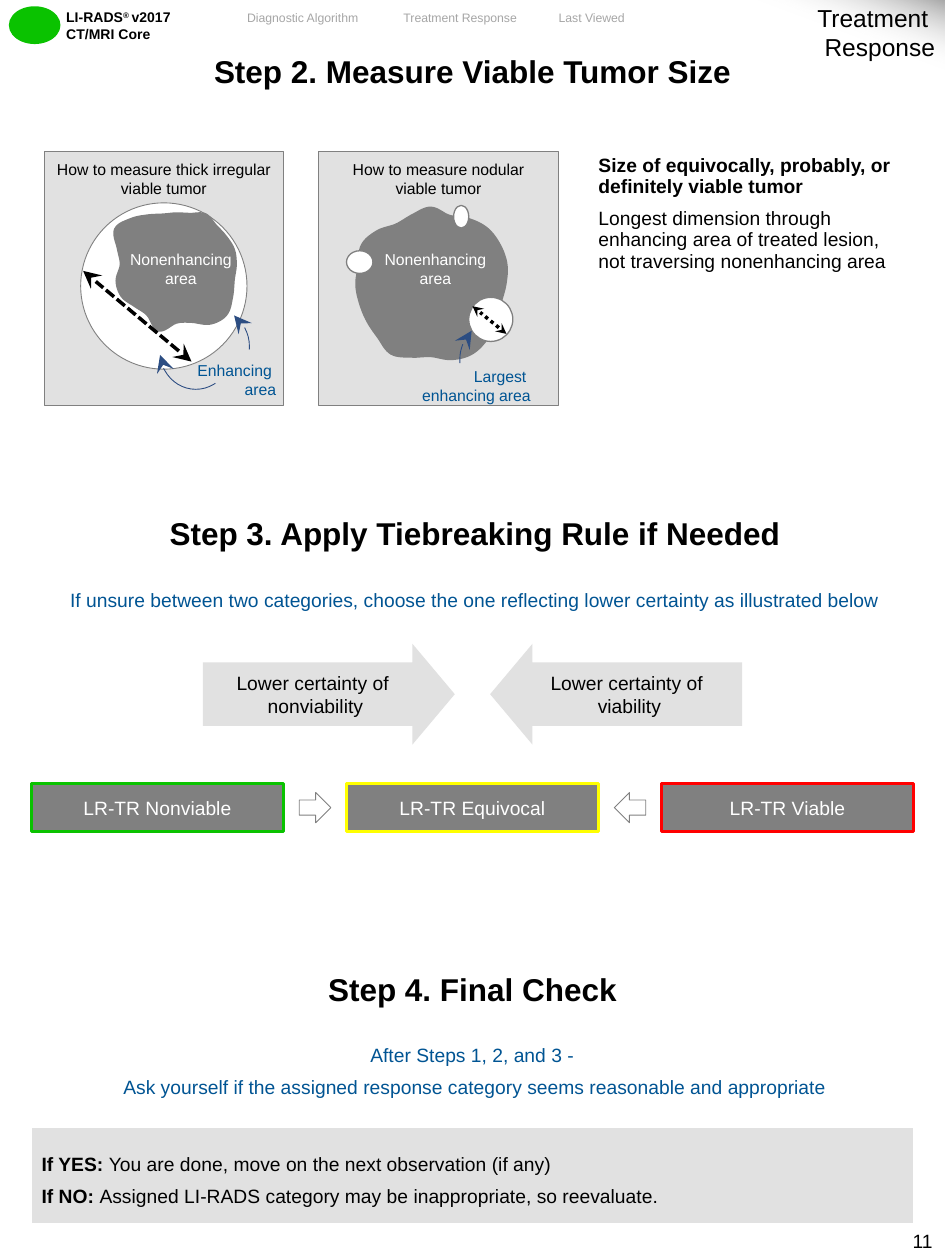
import math
from lxml import etree
from pptx import Presentation
from pptx import util as u
from pptx.dml.color import RGBColor
from pptx.enum import dml, shapes, text
from pptx.oxml.ns import qn

BLACK = RGBColor(0x00, 0x00, 0x00)
WHITE = RGBColor(0xFF, 0xFF, 0xFF)
PALE = RGBColor(0xE1, 0xE1, 0xE1)
SILVER = RGBColor(0xA6, 0xA6, 0xA6)
GREY = RGBColor(0x80, 0x80, 0x80)
BLUE = RGBColor(0x00, 0x54, 0x93)
NAVY = RGBColor(0x2C, 0x4D, 0x82)
GREEN = RGBColor(0x0A, 0xC2, 0x00)
YELLOW = RGBColor(0xFF, 0xFF, 0x00)
RED = RGBColor(0xFF, 0x00, 0x00)

KIND = shapes.MSO_SHAPE
DASH = dml.MSO_LINE
LEFT, CENTER, RIGHT = text.PP_ALIGN.LEFT, text.PP_ALIGN.CENTER, text.PP_ALIGN.RIGHT
TOP, MIDDLE = text.MSO_ANCHOR.TOP, text.MSO_ANCHOR.MIDDLE

deck = Presentation()
deck.slide_width, deck.slide_height = u.Inches(7.5), u.Inches(10)
page = deck.slides.add_slide(deck.slide_layouts[6])
# Every length below counts cells of a grid of 75 columns and 100 rows.
CELL = deck.slide_width // 75


def write(frame, lines, size, color=BLACK, **layout):
    """Fill a frame; each line is a string or a list of (words, bold) pairs."""
    frame.word_wrap = True
    for index, line in enumerate(lines):
        para = frame.paragraphs[0] if index == 0 else frame.add_paragraph()
        for name, value in layout.items():
            setattr(para, name, value)
        for words, bold in [(line, False)] if isinstance(line, str) else line:
            span = para.add_run()
            span.text = words
            for name, value in {"name": "Arial", "size": u.Pt(size), "bold": bold}.items():
                setattr(span.font, name, value)
            span.font.color.rgb = color


def place(kind, box, fill=None, line=None, width=0.5, adjust=()):
    """Add a preset shape whose box is left, top, width, height in cells."""
    shape = page.shapes.add_shape(kind, *[int(side * CELL) for side in box])
    shape.shadow.inherit = False
    for part, color in ((shape.fill, fill), (shape.line.fill, line)):
        if color is None:
            part.background()
        else:
            part.solid()
            part.fore_color.rgb = color
    if line is not None:
        shape.line.width = u.Pt(width)
    for index, value in enumerate(adjust):
        shape.adjustments[index] = value
    return shape


# Steps table: row height, anchor, insets (left, top, right, bottom), lines, format
heading = {"size": 18, "alignment": CENTER}
advice = {"size": 11, "color": BLUE, "alignment": CENTER, "line_spacing": 1.5}
steps = [
    (5, MIDDLE, (1, 0, 1, 1.5), [[("Step 2. Measure Viable Tumor Size", True)]], heading),
    (24.9, MIDDLE, (0.8, 3, 0.4, 12),
     [[("Size of equivocally, probably, or definitely viable tumor", True)],
      "Longest dimension through enhancing area of treated lesion, not traversing nonenhancing area"],
     {"size": 11}),
    (12.1, MIDDLE, (0.8, 7, 0.4, 2), [[("Step 3. Apply Tiebreaking Rule if Needed", True)]], heading),
    (6.7, TOP, (0.8, 0, 0.4, 4),
     ["If unsure between two categories, choose the one reflecting lower certainty as illustrated below"],
     advice),
    (14.4, TOP, (1, 0.5, 1, 0.5), [], advice),
    (15, MIDDLE, (0, 10, 0, 2), [[("Step 4. Final Check", True)]], heading),
    (7.4, TOP, (0.8, 0, 0.4, 2),
     ["After Steps 1, 2, and 3 - ",
      "Ask yourself if the assigned response category seems reasonable and appropriate"], advice),
    (7.6, MIDDLE, (0.8, 1, 0.4, 1),
     [[("If YES: ", True), ("You are done, move on the next observation (if any)", False)],
      [("If NO: ", True), ("Assigned LI-RADS category may be inappropriate, so reevaluate.", False)]],
     {"size": 11, "line_spacing": 1.5}),
]
MEASURE_ROW, CHECK_ROW = 1, len(steps) - 1
total = sum(step[0] for step in steps)
table = page.shapes.add_table(len(steps), 2, int(2.5 * CELL), 4 * CELL, 70 * CELL, int(total * CELL)).table
table.first_row = table.horz_banding = False
for column, width in zip(table.columns, (44.2, 25.8)):
    column.width = int(width * CELL)
for index, (height, anchor, insets, lines, style) in enumerate(steps):
    table.rows[index].height = int(height * CELL)
    for cell in table.rows[index].cells:
        cell.fill.solid()
        cell.fill.fore_color.rgb = PALE if index == CHECK_ROW else WHITE
    cell = table.cell(index, 1 if index == MEASURE_ROW else 0)
    if index != MEASURE_ROW:
        cell.merge(table.cell(index, 1))
    cell.vertical_anchor = anchor
    for side, inset in zip(("left", "top", "right", "bottom"), insets):
        setattr(cell, "margin_" + side, int(inset * CELL))
    write(cell.text_frame, lines, **style)
table.cell(MEASURE_ROW, 1).text_frame.paragraphs[0].space_after = u.Pt(6)

# Diagram panels; the thick irregular tumor lies in a white enhancing disc
PANEL_LEFTS = (3.5, 25.3)
for left in PANEL_LEFTS:
    place(KIND.RECTANGLE, (left, 12, 19, 20.2), PALE, GREY)
place(KIND.OVAL, (6.4, 16.1, 13.2, 13.2), WHITE, GREY)

# A nonenhancing area is a centre and its radii at equal angles, clockwise from the right
irregular_radii = (4.8, 4.8, 5.2, 5.7, 5.5, 4.8, 4.7, 5.5, 4.7, 4.75, 5.1, 5,
                   4.5, 4.9, 5.7, 5.2, 4.6, 4.2, 4.15, 4.25, 4.7, 4.5, 4.6, 4.8)
nodular_radii = (6, 5.8, 6, 6.3, 6.45, 6.2, 5.75, 6, 6.4, 6, 5.9, 5.9,
                 6, 6, 6.4, 6.1, 5.6, 5.8, 6.2, 5.75, 6.1, 6.4, 6.4, 6.3)
SMOOTHNESS = 8
for (center_x, center_y), radii in (((14, 21), irregular_radii), ((34.2, 22.6), nodular_radii)):
    count = len(radii)
    outline = []
    for index in range(count):
        before, start, end, after = [radii[(index + offset) % count] for offset in (-1, 0, 1, 2)]
        for step in range(SMOOTHNESS):
            t = step / SMOOTHNESS
            # Catmull-Rom spline: passes smoothly through every radius
            radius = start + t / 2 * (end - before + t * (
                2 * before - 5 * start + 4 * end - after + t * (3 * (start - end) + after - before)))
            angle = math.tau * (index + t) / count
            outline.append((int(CELL * (center_x + radius * math.cos(angle))),
                            int(CELL * (center_y + radius * math.sin(angle)))))
    builder = page.shapes.build_freeform(*outline[0])
    builder.add_line_segments(outline[1:], close=True)
    nonenhancing = builder.convert_to_shape()
    nonenhancing.shadow.inherit = False
    nonenhancing.fill.solid()
    nonenhancing.fill.fore_color.rgb = GREY
    nonenhancing.line.fill.background()
for nodule in ((37.2, 23.6, 3.5, 3.5), (36, 16.3, 1.2, 1.8), (27.5, 19.9, 2.1, 1.8)):
    place(KIND.OVAL, nodule, WHITE, GREY, 0.75)

# Curved pointers and measuring lines, with their arrowheads
arrows = []
for box, angles, flipped in (((14.1, 24.5, 5.7, 6), (182.19, 3.15), False),
                             ((12.7, 24.9, 5.7, 6), (3.19, 72.96), True),
                             ((36.5, 25.6, 5, 6), (182.19, 3.15), True)):
    pointer = place(KIND.ARC, box, None, NAVY, adjust=angles)
    if flipped:
        pointer._element.spPr.find(qn("a:xfrm")).set("flipH", "1")
    arrows.append((pointer, ["a:headEnd"], "lg"))
for ends, dash, head_size in (((15.2, 28.7, 6.6, 21.5), DASH.SQUARE_DOT, "lg"),
                              ((40.2, 26.5, 37.5, 24.3), DASH.ROUND_DOT, "med")):
    ruler = page.shapes.add_connector(shapes.MSO_CONNECTOR.STRAIGHT, *[int(end * CELL) for end in ends])
    ruler.line.color.rgb = BLACK
    ruler.line.width = u.Pt(2)
    ruler.line.dash_style = dash
    etree.SubElement(ruler._element.spPr, qn("a:effectLst"))
    arrows.append((ruler, ["a:headEnd", "a:tailEnd"], head_size))
for arrow, tips, head_size in arrows:
    for tip in tips:
        head = etree.SubElement(arrow.line._get_or_add_ln(), qn(tip))
        for name, value in {"type": "stealth", "w": head_size, "len": head_size}.items():
            head.set(name, value)

# Tiebreaking rule: three categories at an equal pitch, arrows toward the middle one
FIRST_LEFT, WIDTH, PITCH = 2.5, 20, 25
for index, (label, color) in enumerate((("LR-TR Nonviable", GREEN), ("LR-TR Equivocal", YELLOW),
                                        ("LR-TR Viable", RED))):
    category = place(KIND.RECTANGLE, (FIRST_LEFT + index * PITCH, 62.2, WIDTH, 3.8), GREY, color, 1.5)
    write(category.text_frame, [label], 11, WHITE, alignment=CENTER)
for index, (kind, left, ending) in enumerate(((KIND.RIGHT_ARROW, 16.1, "nonviability"),
                                              (KIND.LEFT_ARROW, 38.9, "viability"))):
    gap_left = FIRST_LEFT + index * PITCH + WIDTH
    place(kind, (gap_left + 1.25, 62.9, 2.5, 2.4), WHITE, GREY)
    certainty = place(kind, (left, 51.1, WIDTH, 8), PALE, adjust=(0.63, 0.42))
    write(certainty.text_frame, ["Lower certainty of ", ending], 11, alignment=CENTER)

# Header marks
place(KIND.OVAL, (0.7, 0.5, 4.1, 3), GREEN)
corner = place(KIND.RIGHT_TRIANGLE, (59.9, 0, 15.1, 5.5), WHITE)
corner.rotation = 180
corner.fill.gradient()
corner.fill.gradient_angle = 70
for stop, position, color in zip(corner.fill.gradient_stops, (0, 0.5), (SILVER, WHITE)):
    stop.position = position
    stop.color.rgb = color
clear = corner._element.spPr.findall(".//" + qn("a:srgbClr"))[-1]
etree.SubElement(clear, qn("a:alpha")).set("val", "0")

# Labels: box, lines, size, colour, alignment, vertical inset
labels = [
    ((4.55, 0.3, 12.9, 3.4), [[("LI-RADS", True), ("® ", True), ("v2017", True)],
                              [("CT/MRI Core", True)]], 8, BLACK, LEFT, 0.4),
    ((54.2, -0.25, 21, 5.7), ["Treatment ", "Response"], 14, BLACK, RIGHT, 0.5),
    ((13.4, 28.15, 9.5, 4), ["Enhancing ", "area"], 9, BLUE, RIGHT, 0.5),
    ((29.2, 28.6, 13.9, 4), ["Largest ", "enhancing area"], 9, BLUE, RIGHT, 0.5),
    ((70.1, 97.1, 4.9, 2.9), ["11"], 11, BLACK, RIGHT, 0.5),
]
for left, width, words in ((18.4, 11.5, "Diagnostic Algorithm "), (30.9, 11.5, "Treatment Response "),
                           (43.3, 7.6, "Last Viewed ")):
    labels.append(((left, 0.3, width, 2.2), [words], 7, SILVER, CENTER, 0.5))
for left, area_left, tumor in zip(PANEL_LEFTS, (8.6, 28.8), ("thick irregular", "nodular")):
    labels.append(((left, 12.7, 19, 3), [f"How to measure {tumor} viable tumor"], 9, BLACK, CENTER, 0))
    labels.append(((area_left, 19.35, 11.5, 4), ["Nonenhancing area"], 9, WHITE, CENTER, 0.5))
for box, lines, size, color, alignment, inset in labels:
    frame = page.shapes.add_textbox(*[int(side * CELL) for side in box]).text_frame
    frame.margin_top = frame.margin_bottom = int(inset * CELL)
    if alignment == LEFT:
        frame.margin_left = frame.margin_right = int(0.7 * CELL)
    write(frame, lines, size, color, alignment=alignment)
    for span in frame.paragraphs[0].runs:
        if span.text == "® ":
            span.font._element.set("baseline", "30000")

deck.save("out.pptx")
